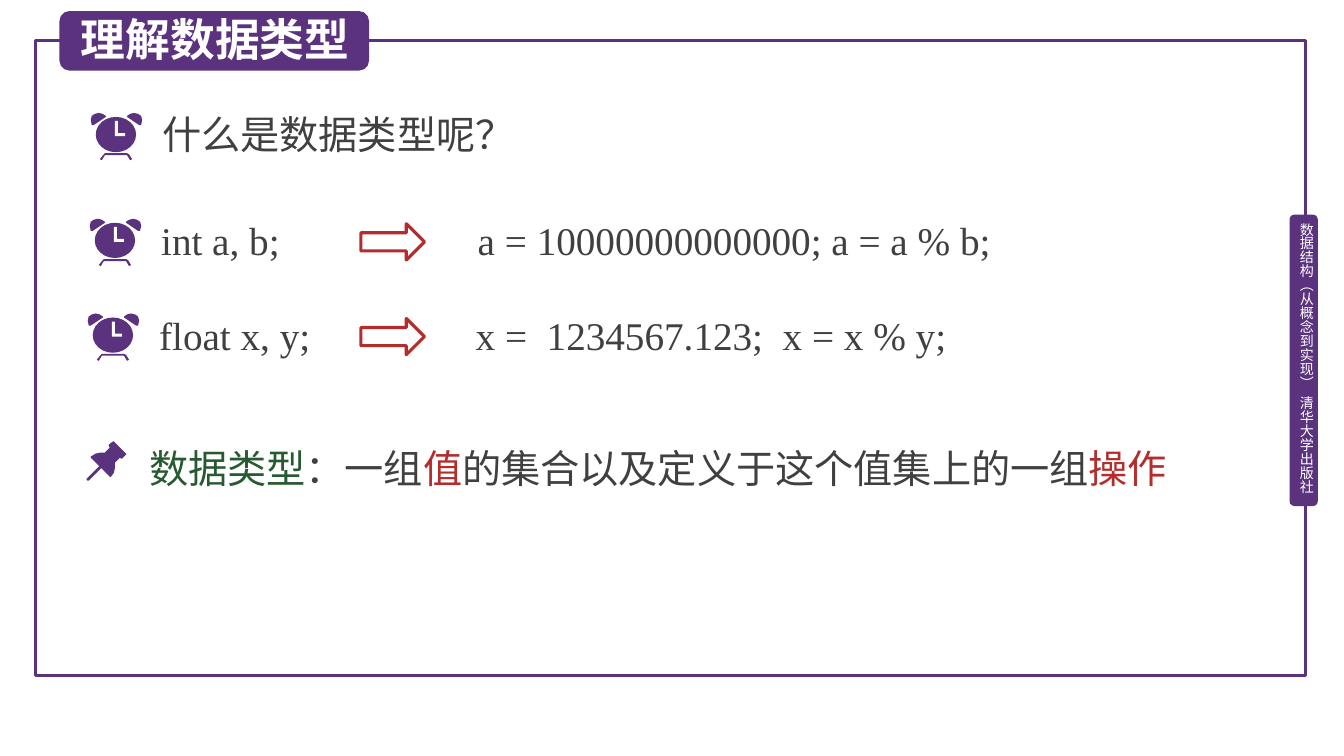
from dataclasses import dataclass
from typing import NamedTuple

from lxml.etree import SubElement
from pptx import Presentation
from pptx.dml.color import RGBColor
from pptx.enum.shapes import MSO_SHAPE
from pptx.enum.text import MSO_ANCHOR, PP_ALIGN
from pptx.oxml.ns import qn
from pptx.util import Inches, Pt

GRID = Inches(0.01)
COLUMNS, ROWS = 1333, 750
PURPLE = RGBColor(0x5A, 0x32, 0x7D)
WHITE = RGBColor(0xFF, 0xFF, 0xFF)
GRAY = RGBColor(0x40, 0x40, 0x40)
GREEN = RGBColor(0x28, 0x5A, 0x32)
RED = RGBColor(0xB4, 0x2D, 0x2D)
CHINESE = "Noto Sans CJK SC"
CODE = "Times New Roman"

CLOCK_WIDTH = 51
LEFT_BELL = [(8, 0), (4, 1), (1, 3), (0, 7), (1, 12), (3, 12), (15, 4), (15, 3), (12, 1)]
RIGHT_BELL = [(CLOCK_WIDTH - x, y) for x, y in LEFT_BELL]
FEET = [(9, 46), (13, 41), (14, 40), (36, 40), (38, 41), (41, 46), (39, 47),
        (36, 42), (14, 42), (11, 47)]
HANDS = [(24, 8), (27, 8), (27, 20), (34, 20), (34, 23), (24, 23)]
PIN_HEAD = [(39, 13), (27, 1), (26, 1), (22, 4), (22, 6), (23, 7), (18, 12), (14, 12),
            (9, 13), (4, 16), (4, 17), (23, 36), (24, 36), (27, 32), (28, 27), (28, 22),
            (33, 17), (34, 18), (35, 18), (39, 14)]
PIN_NEEDLE = [(1, 40), (0, 39), (0, 38), (13, 25), (15, 24), (16, 26), (15, 27), (2, 40)]


class Area(NamedTuple):
    left: int
    top: int
    width: int
    height: int

    def emu(self) -> list[int]:
        return [cells * GRID for cells in self]


class Span(NamedTuple):
    text: str
    color: RGBColor


@dataclass
class Question:
    left: int
    top: int
    text: str
    font: str
    width: int
    example: str = ""


QUESTIONS = [
    Question(90, 112, "什么是数据类型呢？", CHINESE, 726),
    Question(89, 217, "int a, b;", CODE, 208, "a = 10000000000000; a = a % b;"),
    Question(87, 311, "float x, y;", CODE, 208, "x =  1234567.123;  x = x % y;"),
]
DEFINITION = [
    Span("数据类型", GREEN),
    Span("：一组", GRAY),
    Span("值", RED),
    Span("的集合以及定义于这个值集上的一组", GRAY),
    Span("操作", RED),
]


def paint(shape, fill: RGBColor | None, line: RGBColor | None = None) -> None:
    shape.shadow.inherit = False
    if fill is None:
        shape.fill.background()
    else:
        shape.fill.solid()
        shape.fill.fore_color.rgb = fill
    if line is None:
        shape.line.fill.background()
    else:
        shape.line.color.rgb = line
        shape.line.width = Pt(2.25)


def add_preset(slide, kind: MSO_SHAPE, area: Area, fill: RGBColor | None,
               line: RGBColor | None = None):
    shape = slide.shapes.add_shape(kind, *area.emu())
    paint(shape, fill, line)
    return shape


def add_outline(slide, left: int, top: int, points: list[tuple[int, int]],
                fill: RGBColor = PURPLE) -> None:
    builder = slide.shapes.build_freeform(*points[0], scale=GRID)
    builder.add_line_segments(points[1:], close=True)
    paint(builder.convert_to_shape(left * GRID, top * GRID), fill)


def format_font(paragraph, name: str, size: int, color: RGBColor) -> None:
    font = paragraph.font
    font.name = name
    font.size = Pt(size)
    font.color.rgb = color
    SubElement(font._element, qn("a:ea")).set("typeface", name)


def add_text(slide, area: Area, spans: list[Span], font: str, size: int = 28):
    frame = slide.shapes.add_textbox(*area.emu()).text_frame
    frame.word_wrap = True
    paragraph = frame.paragraphs[0]
    format_font(paragraph, font, size, spans[0].color)
    for span in spans:
        run = paragraph.add_run()
        run.text = span.text
        if len(spans) > 1:
            run.font.color.rgb = span.color
    return frame


def add_clock(slide, left: int, top: int) -> None:
    for part in (FEET, LEFT_BELL, RIGHT_BELL):
        add_outline(slide, left, top, part)
    add_preset(slide, MSO_SHAPE.OVAL, Area(left + 5, top + 4, 40, 35), PURPLE)
    add_outline(slide, left, top, HANDS, WHITE)


def add_question(slide, question: Question) -> None:
    left, top = question.left, question.top
    add_clock(slide, left, top)
    add_text(slide, Area(left + 61, top - 7, question.width, 57),
             [Span(question.text, GRAY)], question.font)
    if question.example:
        add_preset(slide, MSO_SHAPE.RIGHT_ARROW, Area(358, top + 5, 63, 36), None, RED)
        add_text(slide, Area(left + 375, top - 7, 674, 57),
                 [Span(question.example, GRAY)], question.font)


def add_frame(slide) -> None:
    add_preset(slide, MSO_SHAPE.RECTANGLE, Area(35, 40, 1260, 630), None, PURPLE)
    add_preset(slide, MSO_SHAPE.ROUNDED_RECTANGLE, Area(1279, 213, 28, 289), PURPLE)
    book = add_text(slide, Area(1287, 221, 17, 281),
                    [Span("数据结构（从概念到实现）  清华大学出版社", WHITE)], CHINESE, 10)
    book.margin_left = book.margin_right = book.margin_top = book.margin_bottom = 0
    book._txBody.bodyPr.set("vert", "eaVert")


def add_title(slide) -> None:
    badge = add_preset(slide, MSO_SHAPE.ROUNDED_RECTANGLE, Area(59, 11, 307, 59), PURPLE)
    title = slide.shapes.title
    title.left, title.top, title.width, title.height = Area(70, 7, 320, 74).emu()
    badge._element.addnext(title._element)
    title.text_frame.text = "理解数据类型"
    title.text_frame.vertical_anchor = MSO_ANCHOR.TOP
    paragraph = title.text_frame.paragraphs[0]
    paragraph.alignment = PP_ALIGN.LEFT
    format_font(paragraph, CHINESE, 32, WHITE)
    paragraph.font.bold = True


def add_definition(slide) -> None:
    for part in (PIN_HEAD, PIN_NEEDLE):
        add_outline(slide, 86, 437, part)
    frame = add_text(slide, Area(138, 427, 1168, 67), DEFINITION, CHINESE)
    frame.paragraphs[0].line_spacing = 1.2


def main() -> None:
    presentation = Presentation()
    presentation.slide_width = COLUMNS * GRID
    presentation.slide_height = ROWS * GRID
    slide = presentation.slides.add_slide(presentation.slide_layouts[5])
    add_frame(slide)
    add_title(slide)
    for question in QUESTIONS:
        add_question(slide, question)
    add_definition(slide)
    presentation.save("out.pptx")


if __name__ == "__main__":
    main()
